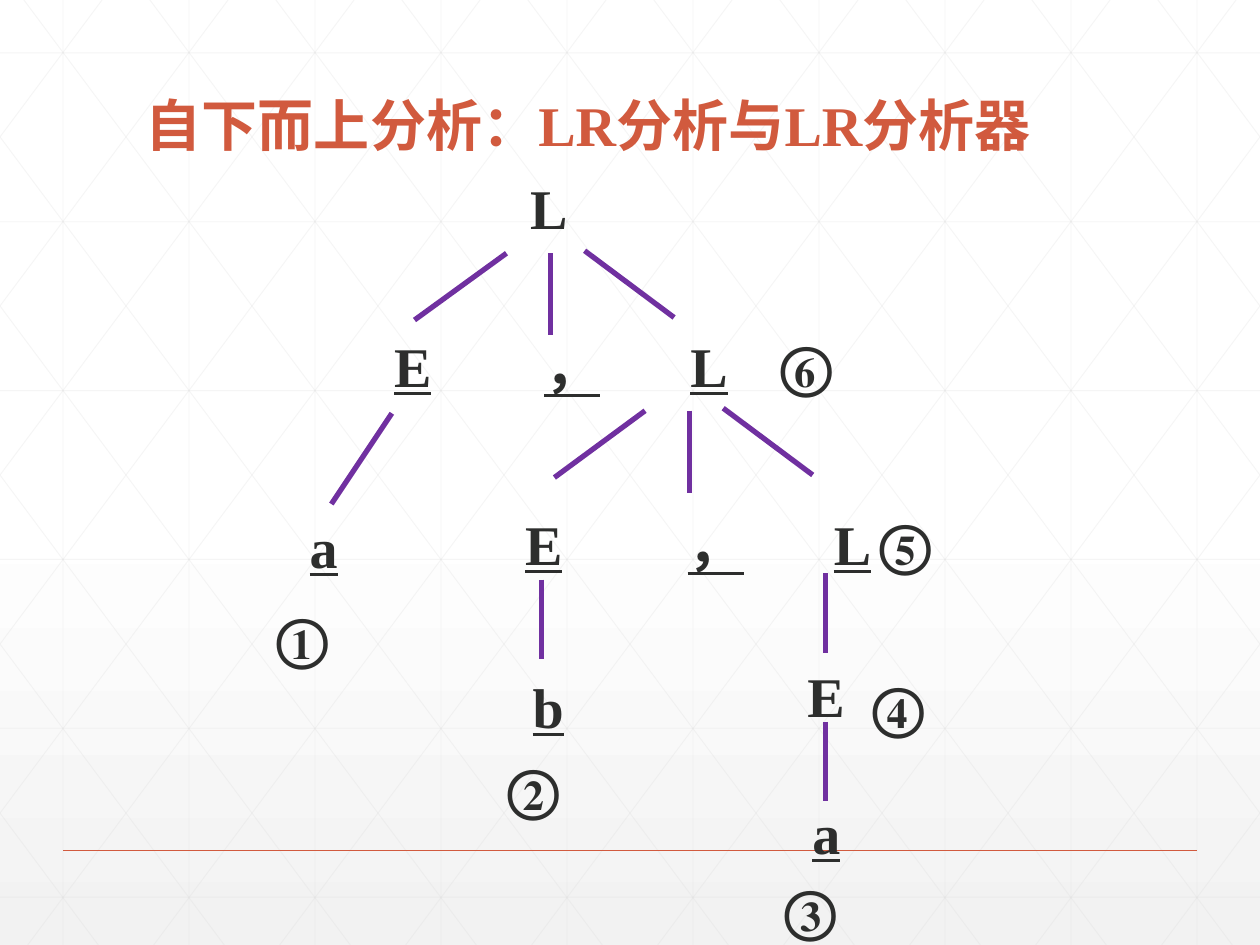
import pptx
import pptx.dml.color
import pptx.enum.shapes
import pptx.enum.text
import pptx.oxml.ns
import pptx.util
from dataclasses import dataclass
from lxml import etree
from pptx.util import Inches


@dataclass(frozen=True)
class Theme:
    font: str = "Times New Roman"
    size: int = 32
    ink: str = "2D2E2D"
    accent: str = "D15A3E"
    branch: str = "7030A0"
    grid: str = "D9D9D9"
    white: str = "FFFFFF"
    shade: str = "F2F2F2"


theme = Theme()
qn = pptx.oxml.ns.qn
rgb = pptx.dml.color.RGBColor.from_string

deck = pptx.Presentation()
deck.slide_width, deck.slide_height = Inches(10), Inches(7.5)
page = deck.slides.add_slide(deck.slide_layouts[6])

backdrop = page.background.fill
backdrop.gradient()
backdrop.gradient_angle = 270
for stop, position, color in zip(backdrop.gradient_stops, (0.53, 1), (theme.white, theme.shade)):
    stop.position = position
    stop.color.rgb = rgb(color)


def add_line(x1, y1, x2, y2, color, width, alpha=None):
    line = page.shapes.add_connector(
        pptx.enum.shapes.MSO_CONNECTOR.STRAIGHT, Inches(x1), Inches(y1), Inches(x2), Inches(y2)
    )
    line.line.color.rgb = rgb(color)
    line.line.width = pptx.util.Pt(width)
    etree.SubElement(line._element.spPr, qn("a:effectLst"))
    if alpha:
        paint = line._element.spPr.find(".//" + qn("a:srgbClr"))
        etree.SubElement(paint, qn("a:alpha"), val=str(alpha * 1000))


def add_text(left, top, width, height, text, underline=False, color=theme.ink, insets=(0.09, 0.01)):
    box = page.shapes.add_textbox(Inches(left), Inches(top), Inches(width), Inches(height))
    frame = box.text_frame
    frame.word_wrap = True
    frame.margin_left = frame.margin_right = Inches(0.1)
    frame.margin_top, frame.margin_bottom = map(Inches, insets)
    para = frame.paragraphs[0]
    span = para.add_run()
    span.text = text
    span.font.name = theme.font
    span.font.size = pptx.util.Pt(theme.size)
    span.font.bold = True
    span.font.underline = underline
    span.font.color.rgb = rgb(color)
    return frame


grid_style = (theme.grid, 0.5, 25)
for column in range(10):
    add_line(column + 0.5, 0, column + 0.5, 7.5, *grid_style)
for row in range(6):
    y = 0.42 + 1.34 * row
    add_line(0, y, 10, y, *grid_style)

run_across = 5.59
slope = 7.5 / run_across
for step in range(-5, 10):
    start = 0.19 + step
    x1, x2 = max(start, 0), min(start + run_across, 10)
    y1, y2 = (x1 - start) * slope, (x2 - start) * slope
    add_line(x1, y1, x2, y2, *grid_style)
    add_line(10 - x1, y1, 10 - x2, y2, *grid_style)

add_line(0.5, 6.75, 9.5, 6.75, theme.accent, 1)

title = add_text(1.06, 0.55, 7.88, 0.76, "自下而上分析：LR分析与LR分析器",
                 color=theme.accent, insets=(0.05, 0.05))
title.vertical_anchor = pptx.enum.text.MSO_ANCHOR.BOTTOM
title.paragraphs[0].line_spacing = 0.9

branches = [
    (4.37, 2.01, 4.37, 2.66), (4.02, 2.01, 3.29, 2.54), (5.35, 2.52, 4.64, 1.99),
    (5.47, 3.26, 5.47, 3.91), (5.12, 3.26, 4.4, 3.79), (6.45, 3.77, 5.74, 3.24),
    (3.11, 3.28, 2.63, 4), (4.3, 4.6, 4.3, 5.23),
    (6.55, 4.55, 6.55, 5.18), (6.55, 5.73, 6.55, 6.36),
]
for branch in branches:
    add_line(*branch, theme.branch, 3)

for left, top, first_stop in [(2.82, 2.54, 0.21), (3.96, 3.95, 0.11)]:
    frame = add_text(left, top, 3.31, 0.64, "\tE\t，\tL", underline=True)
    tabs = etree.SubElement(frame.paragraphs[0]._p.get_or_add_pPr(), qn("a:tabLst"))
    for stop in (first_stop, 1.4, 2.56):
        etree.SubElement(tabs, qn("a:tab"), pos=str(Inches(stop)), algn="l")

nodes = [
    ("L", 4.11, 1.29, 0, False),
    ("a", 2.25, 3.98, 0.11, True),
    ("b", 4.13, 5.25, 0, True),
    ("E", 6.1, 5.16, 0.21, False),
    ("a", 6.35, 6.25, 0, True),
    ("①", 2.1, 4.7, 0, False),
    ("②", 3.93, 5.9, 0, False),
    ("③", 6.13, 6.86, 0, False),
    ("④", 6.83, 5.25, 0, False),
    ("⑤", 6.88, 3.95, 0, False),
    ("⑥", 6.1, 2.54, 0, False),
]
for label, left, top, indent, underline in nodes:
    frame = add_text(left, top, 1.04, 0.64, label, underline)
    frame.paragraphs[0]._p.get_or_add_pPr().set("marL", str(Inches(indent)))

deck.save("out.pptx")
